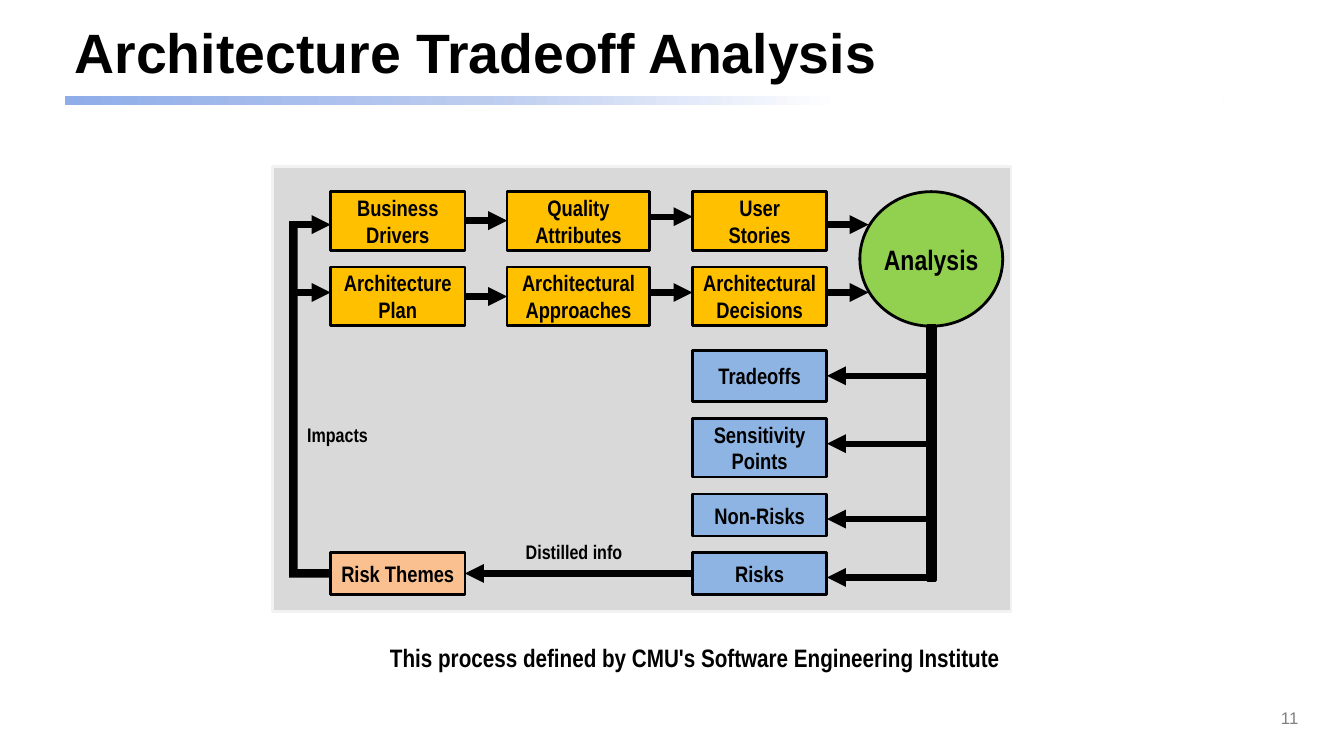
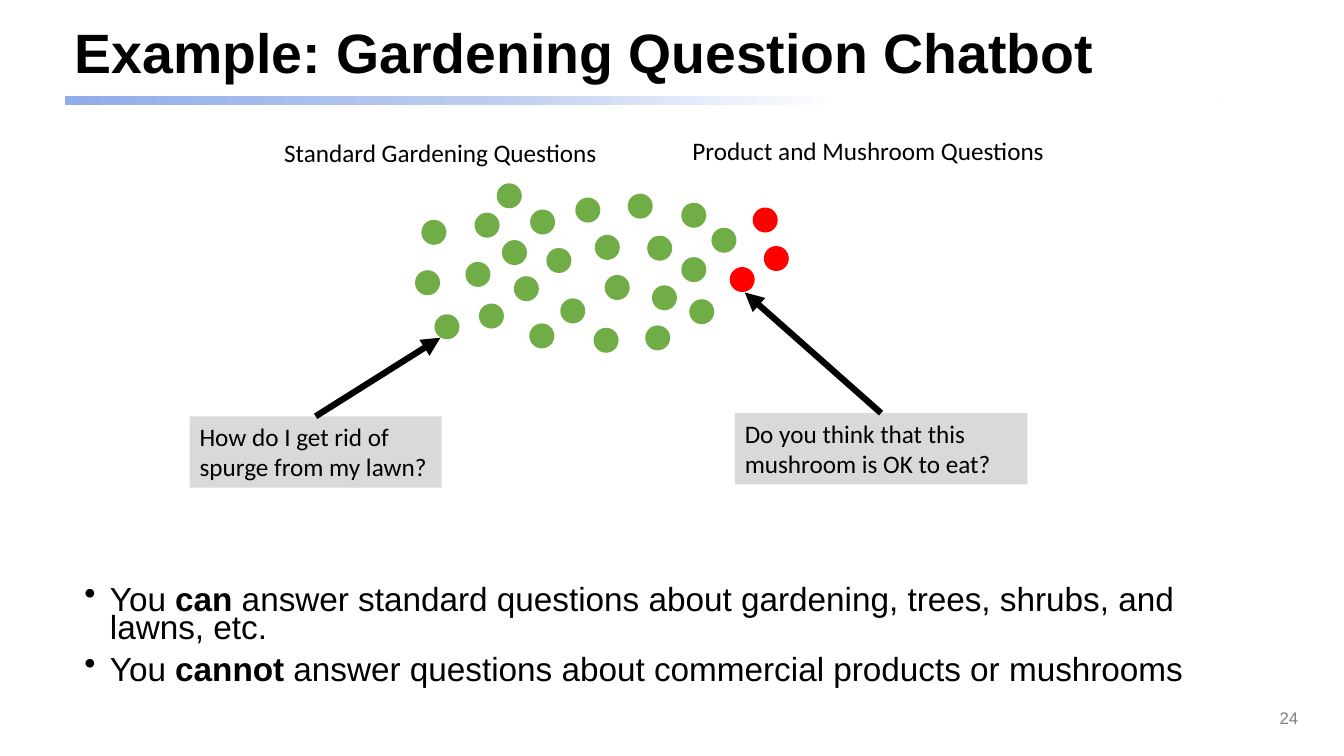
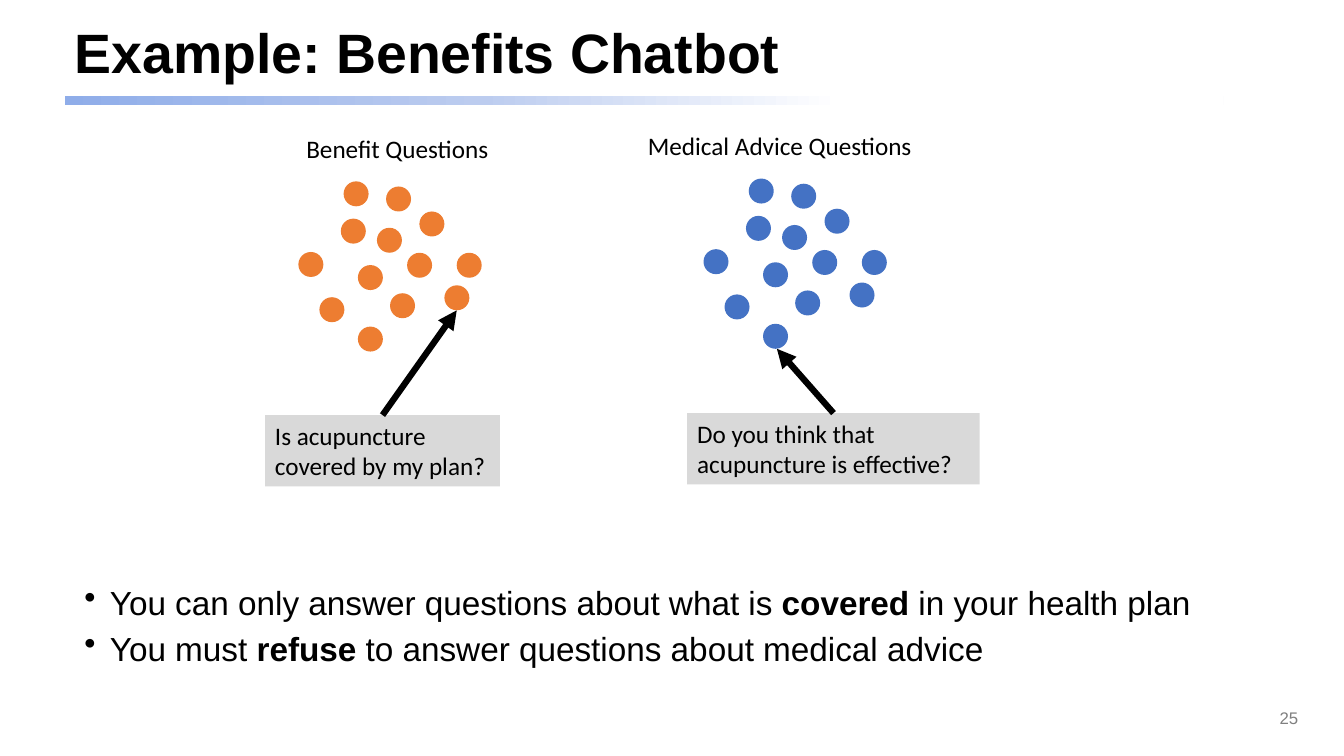
from copy import deepcopy
from dataclasses import dataclass

from pptx import Presentation
from pptx.dml.color import RGBColor
from pptx.enum.shapes import MSO_CONNECTOR as Connector, MSO_SHAPE as Shape
from pptx.enum.text import MSO_ANCHOR as Anchor, PP_ALIGN as Align
from pptx.oxml.ns import qn
from pptx.oxml.xmlchemy import OxmlElement
from pptx.util import Cm, Pt


@dataclass(frozen=True)
class Theme:
    black: str = "000000"
    number: str = "808080"
    panel: str = "D9D9D9"
    panel_edge: str = "F2F2F2"
    inputs: str = "FFC000"
    analysis: str = "92D050"
    findings: str = "8EB4E3"
    themes: str = "FAC090"
    green: str = "70AD47"
    red: str = "FF0000"
    orange: str = "ED7D31"
    blue: str = "4472C4"
    band: tuple = ((0, "8FADE9"), (0.36, "BCCCEF"), (0.67, "FFFFFF"))
    main_font: str = "Arial"
    diagram_font: str = "Arial Narrow"
    note_font: str = "Calibri"
    title_size: float = 39.6
    body_size: float = 23.8
    analysis_size: float = 20
    note_size: float = 18
    box_size: float = 16
    label_size: float = 14
    number_size: float = 12
    outline: float = 2
    arrow: float = 4.5


THEME = Theme()

COLUMNS = [(8.33, 3.39), (12.78, 3.6), (17.45, 3.39)]
INPUT_ROWS = [
    {"top": 4.83, "arrows": [5.66, 5.56, 5.46, 5.66],
     "boxes": ["Business\nDrivers", "Quality\nAttributes", "User\nStories"]},
    {"top": 6.73, "arrows": [7.37, 7.47, 7.37, 7.37],
     "boxes": ["Architecture\nPlan", "Architectural\nApproaches", "Architectural\nDecisions"]},
]
INPUT_HEIGHT = 1.48
FINDINGS = [
    ("Tradeoffs", 8.84, 1.27, 9.47),
    ("Sensitivity\nPoints", 10.54, 1.48, 11.18),
    ("Non-Risks", 12.45, 1.06, 13.08),
    ("Risks", 13.92, 1.06, 14.55),
]
DIAGRAM_LABELS = [
    ("Distilled info", (13, 13.49, 2.97, 0.86)),
    ("Impacts", (7.49, 10.54, 2.06, 0.86)),
]
CAPTION = "This process defined by CMU's Software Engineering Institute"

GREEN_DOTS = [
    (12.52, 4.62), (13.36, 5.28), (11.96, 5.36), (12.65, 6.05), (13.77, 6.25),
    (12.95, 6.96), (11.73, 6.6), (12.07, 7.65), (14.12, 7.52), (13.34, 8.15),
    (10.46, 6.81), (10.95, 7.92), (10.62, 5.54), (15.82, 4.88), (17.17, 5.11),
    (14.99, 5.92), (16.31, 5.94), (17.93, 5.74), (17.17, 6.48), (15.24, 6.93),
    (16.43, 7.19), (17.37, 7.54), (16.26, 8.2), (14.96, 8.26), (14.5, 4.98),
]
RED_DOTS = [(18.39, 6.73), (19.25, 6.2), (18.97, 5.23)]
CLUSTER = [
    (1.14, 0), (2.21, 0.13), (1.07, 0.94), (1.98, 1.17), (3.05, 0.76),
    (2.74, 1.8), (1.5, 2.11), (2.31, 2.82), (3.99, 1.8), (3.68, 2.62),
    (0.53, 2.92), (1.5, 3.66), (0, 1.78),
]
DOT = 0.63

CHATBOTS = [
    {
        "title": "Example: Gardening Question Chatbot",
        "number": 24,
        "dots": [(THEME.green, (0, 0), GREEN_DOTS), (THEME.red, (0, 0), RED_DOTS)],
        "headings": [
            ("Standard Gardening Questions", 6.91, 3.33, 8.43),
            ("Product and Mushroom Questions", 17.2, 3.28, 9.47),
        ],
        "callouts": [
            ("How do I get rid of spurge from my lawn?", 4.78, 10.49, 6.35, (11.1, 8.51)),
            ("Do you think that this mushroom is OK to eat?", 18.52, 10.41, 7.37, (18.77, 7.37)),
        ],
        "bullets": "You *can* answer standard questions about gardening, trees, shrubs, and lawns, etc.\n"
                   "You *cannot* answer questions about commercial products or mushrooms",
        "spacing": 0.7,
    },
    {
        "title": "Example: Benefits Chatbot",
        "number": 25,
        "dots": [(THEME.orange, (7.52, 4.57), CLUSTER), (THEME.blue, (17.73, 4.5), CLUSTER)],
        "headings": [
            ("Benefit Questions", 7.47, 3.23, 5.16),
            ("Medical Advice Questions", 16.08, 3.15, 7.37),
        ],
        "callouts": [
            ("Is acupuncture covered by my plan?", 6.68, 10.46, 5.92, (11.51, 7.82)),
            ("Do you think that acupuncture is effective?", 17.32, 10.41, 7.37, (19.58, 8.79)),
        ],
        "bullets": "You can only answer questions about what is *covered* in your health plan\n"
                   "You must *refuse* to answer questions about medical advice",
        "spacing": 0.8,
    },
]


def rgb(value):
    return RGBColor.from_string(value)


def add_bullet(paragraph):
    properties = paragraph._p.get_or_add_pPr()
    properties.set("marL", str(Cm(0.64)))
    properties.set("indent", str(-Cm(0.64)))
    bullet = OxmlElement("a:buChar")
    bullet.set("char", "•")
    properties.append(bullet)


def write(shape, text, size, font=THEME.main_font, color=THEME.black, bold=False,
          align=Align.LEFT, anchor=Anchor.TOP, wrap=True, spacing=None, before=0,
          bullets=False, side_margin=0.25):
    frame = shape.text_frame
    frame.word_wrap = wrap
    frame.vertical_anchor = anchor
    frame.margin_left = frame.margin_right = Cm(side_margin)
    for index, line in enumerate(text.split("\n")):
        paragraph = frame.add_paragraph() if index else frame.paragraphs[0]
        paragraph.alignment = align
        paragraph.space_before = Pt(before)
        if spacing:
            paragraph.line_spacing = spacing
        if bullets:
            add_bullet(paragraph)
        for position, part in enumerate(line.split("*")):
            run = paragraph.add_run()
            run.text = part
            run.font.name = font
            run.font.size = Pt(size)
            run.font.bold = bold or position % 2 == 1
            run.font.color.rgb = rgb(color)


def add_text(slide, text, area, **style):
    write(slide.shapes.add_textbox(*map(Cm, area)), text, **style)


def add_block(slide, area, fill, kind=Shape.RECTANGLE, line=None):
    shape = slide.shapes.add_shape(kind, *map(Cm, area))
    shape.shadow.inherit = False
    shape.fill.solid()
    shape.fill.fore_color.rgb = rgb(fill)
    if line:
        shape.line.color.rgb = rgb(line)
        shape.line.width = Pt(THEME.outline)
    else:
        shape.line.fill.background()
    return shape


def add_box(slide, text, area, fill, kind=Shape.RECTANGLE, size=THEME.box_size):
    box = add_block(slide, area, fill, kind=kind, line=THEME.black)
    write(box, text, size=size, font=THEME.diagram_font, bold=True,
          align=Align.CENTER, anchor=Anchor.MIDDLE, side_margin=0)


def add_arrow(slide, start, end):
    arrow = slide.shapes.add_connector(Connector.STRAIGHT, *map(Cm, (*start, *end)))
    arrow.line.color.rgb = rgb(THEME.black)
    arrow.line.width = Pt(THEME.arrow)
    head = OxmlElement("a:tailEnd")
    head.set("type", "triangle")
    arrow.line._get_or_add_ln().append(head)
    arrow._element.spPr.append(OxmlElement("a:effectLst"))


def add_band(slide):
    band = add_block(slide, (1.63, 2.41, 29.21, 0.25), THEME.black)
    band.fill.gradient()
    band.fill.gradient_angle = 0
    first_stop = band._element.spPr.find(".//" + qn("a:gs"))
    first_stop.addnext(deepcopy(first_stop))
    for stop, (position, color) in zip(band.fill.gradient_stops, THEME.band):
        stop.position = position
        stop.color.rgb = rgb(color)


def add_slide(presentation, title, number):
    slide = presentation.slides.add_slide(presentation.slide_layouts[6])
    add_band(slide)
    add_text(slide, title, (1.63, 0.46, 29.21, 1.9), size=THEME.title_size,
             bold=True, anchor=Anchor.MIDDLE, spacing=0.9)
    add_text(slide, str(number), (25.35, 17.58, 7.62, 1.02), size=THEME.number_size,
             color=THEME.number, align=Align.RIGHT, anchor=Anchor.MIDDLE)
    return slide


def build_analysis(presentation):
    slide = add_slide(presentation, "Architecture Tradeoff Analysis", 11)
    add_block(slide, (6.86, 4.19, 18.62, 11.23), THEME.panel, line=THEME.panel_edge)

    impact_left, analysis_edge, trunk_left, bar = 7.29, 21.89, 23.37, 0.21
    starts = [impact_left] + [left + width for left, width in COLUMNS]
    ends = [left for left, width in COLUMNS] + [analysis_edge]
    for row in INPUT_ROWS:
        for text, (left, width) in zip(row["boxes"], COLUMNS):
            add_box(slide, text, (left, row["top"], width, INPUT_HEIGHT), THEME.inputs)
        for start, end, height in zip(starts, ends, row["arrows"]):
            add_arrow(slide, (start, height), (end, height))
    add_box(slide, "Analysis", (21.67, 4.83, 3.6, 3.39), THEME.analysis,
            kind=Shape.OVAL, size=THEME.analysis_size)

    left, width = COLUMNS[-1]
    add_block(slide, (trunk_left, 8.2, bar, 6.43), THEME.black, line=THEME.black)
    for text, top, height, arrow in FINDINGS:
        add_box(slide, text, (left, top, width, height), THEME.findings)
        add_arrow(slide, (trunk_left, arrow), (left + width, arrow))

    theme_left, theme_width = COLUMNS[0]
    risk_top, risk_height = FINDINGS[-1][1:3]
    risk_middle = risk_top + risk_height / 2
    add_box(slide, "Risk Themes", (theme_left, risk_top, theme_width, risk_height), THEME.themes)
    add_arrow(slide, (left, risk_middle), (theme_left + theme_width, risk_middle))
    impact_top = INPUT_ROWS[0]["arrows"][0]
    impact_bottom = risk_middle - bar / 2
    add_block(slide, (impact_left, impact_top, bar, impact_bottom - impact_top), THEME.black)
    add_block(slide, (impact_left, impact_bottom, theme_left - impact_left, bar), THEME.black)

    for text, area in DIAGRAM_LABELS:
        add_text(slide, text, area, size=THEME.label_size, font=THEME.diagram_font,
                 bold=True, wrap=False)
    add_text(slide, CAPTION, (9.55, 16.05, 15.93, 1.02), size=THEME.note_size,
             font=THEME.diagram_font, bold=True, align=Align.CENTER,
             anchor=Anchor.MIDDLE, wrap=False)


def build_chatbot(presentation, chatbot):
    slide = add_slide(presentation, chatbot["title"], chatbot["number"])
    add_text(slide, chatbot["bullets"], (1.88, 14.73, 29.21, 2.92), size=THEME.body_size,
             spacing=chatbot["spacing"], before=10, bullets=True)
    for color, (left, top), dots in chatbot["dots"]:
        for across, down in dots:
            add_block(slide, (left + across, top + down, DOT, DOT), color, kind=Shape.OVAL)
    for text, left, top, width, tip in chatbot["callouts"]:
        callout = add_block(slide, (left, top, width, 1.8), THEME.panel)
        write(callout, text, size=THEME.note_size, font=THEME.note_font)
        add_arrow(slide, (left + width / 2, top), tip)
    for text, left, top, width in chatbot["headings"]:
        add_text(slide, text, (left, top, width, 1.02), size=THEME.note_size,
                 font=THEME.note_font, wrap=False)


def main():
    presentation = Presentation()
    presentation.slide_width = Cm(33.87)
    presentation.slide_height = Cm(19.05)
    build_analysis(presentation)
    for chatbot in CHATBOTS:
        build_chatbot(presentation, chatbot)
    presentation.save("out.pptx")


if __name__ == "__main__":
    main()
